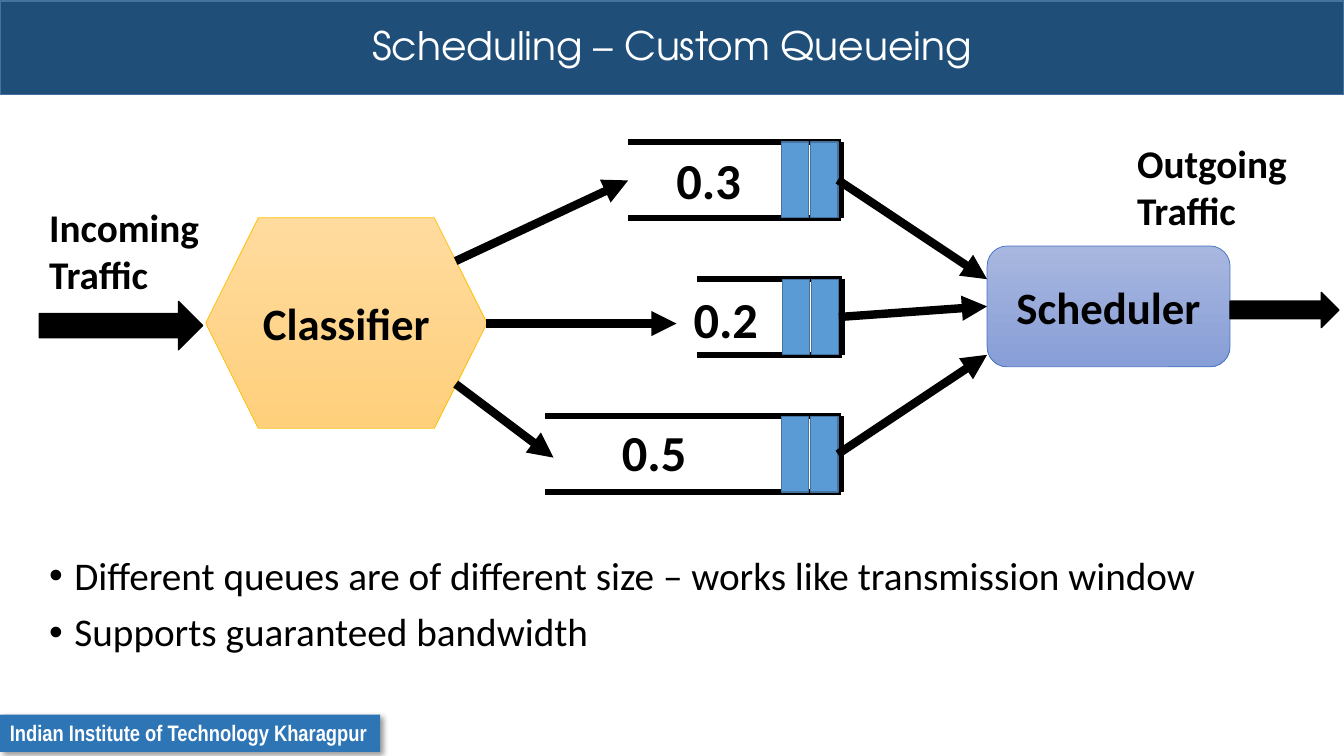
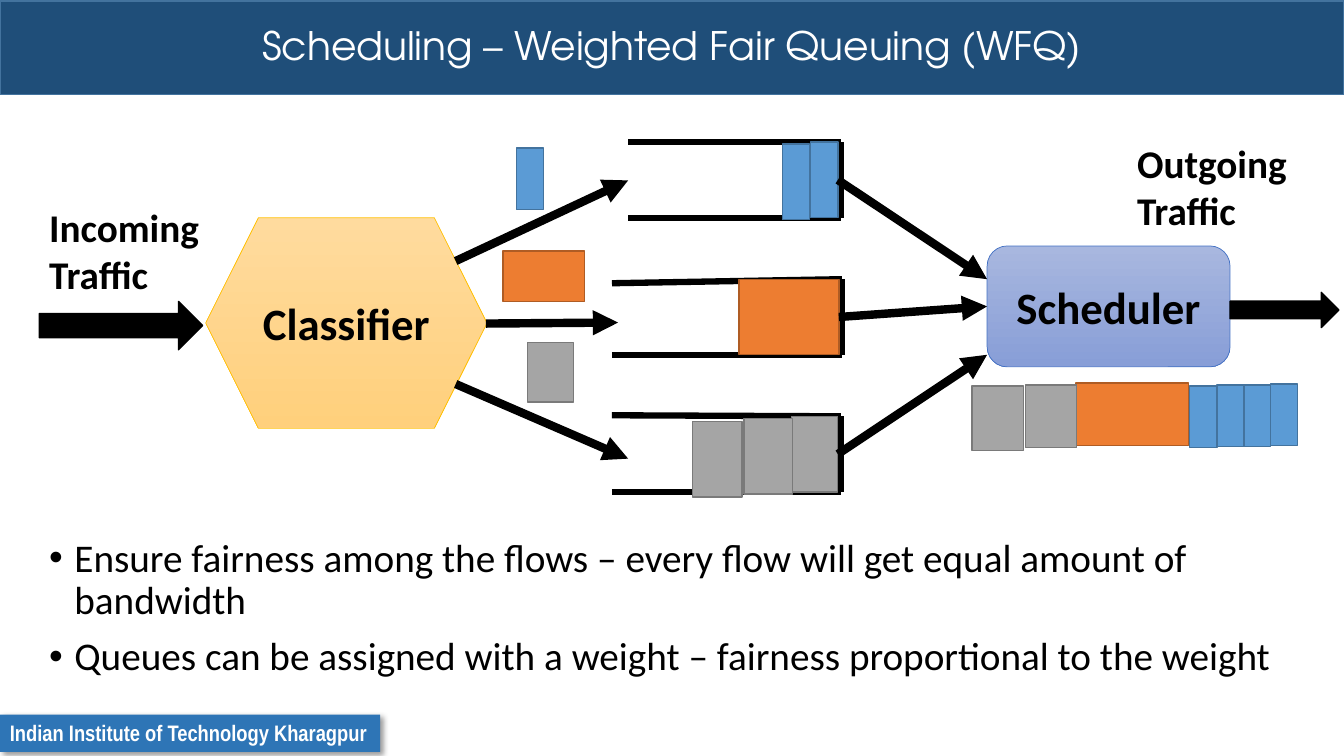
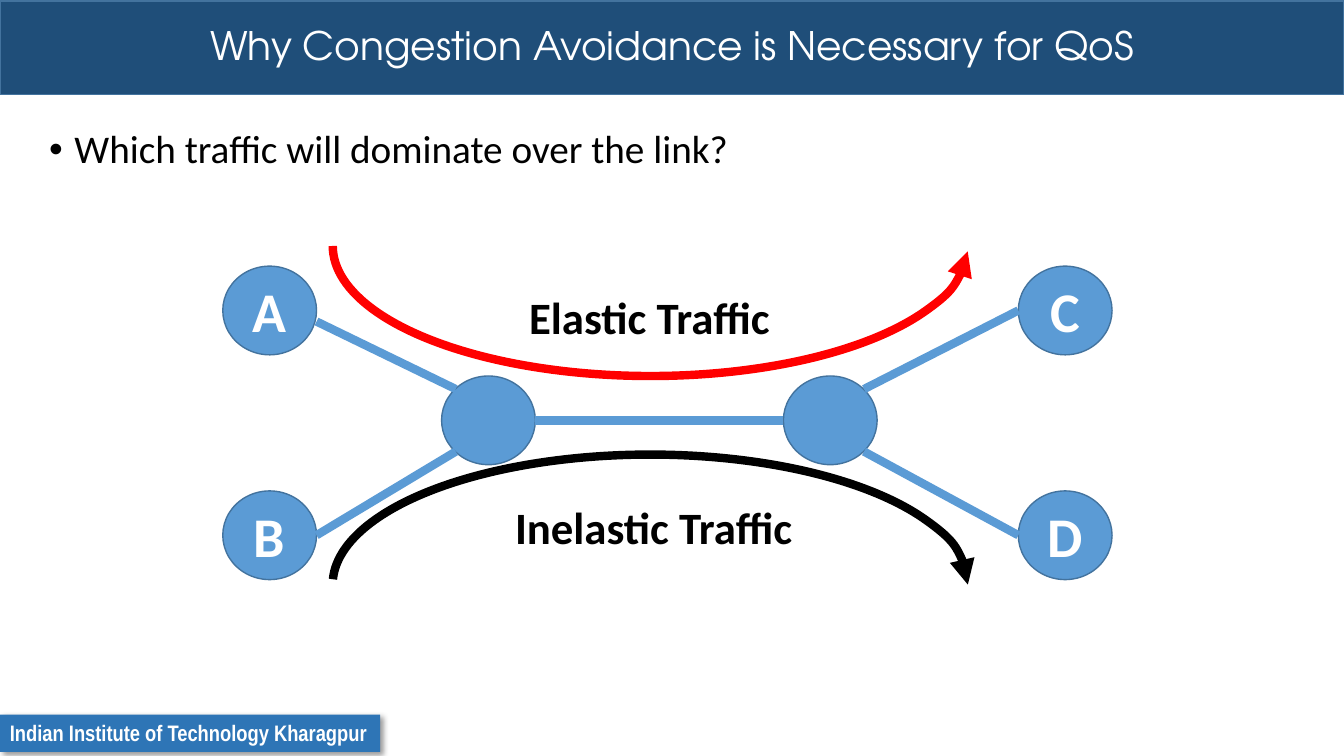
from lxml.etree import SubElement
from pptx import Presentation
from pptx.dml.color import RGBColor
from pptx.enum.shapes import MSO_CONNECTOR, MSO_SHAPE
from pptx.enum.text import MSO_ANCHOR, MSO_AUTO_SIZE, PP_ALIGN
from pptx.oxml.ns import qn
from pptx.util import Pt

PX = 9144  # 100 px to the inch
RECT, ROUND, HEX = MSO_SHAPE.RECTANGLE, MSO_SHAPE.ROUNDED_RECTANGLE, MSO_SHAPE.HEXAGON
OVAL, ARC, ARROW = MSO_SHAPE.OVAL, MSO_SHAPE.ARC, MSO_SHAPE.RIGHT_ARROW
STRAIGHT = MSO_CONNECTOR.STRAIGHT
LEFT, CENTER = PP_ALIGN.LEFT, PP_ALIGN.CENTER
TOP, MIDDLE = MSO_ANCHOR.TOP, MSO_ANCHOR.MIDDLE
GROW, FIXED = MSO_AUTO_SIZE.SHAPE_TO_FIT_TEXT, MSO_AUTO_SIZE.NONE

BLACK = RGBColor(0x00, 0x00, 0x00)
WHITE = RGBColor(0xFF, 0xFF, 0xFF)
RED = RGBColor(0xFF, 0x00, 0x00)
NAVY = RGBColor(0x1F, 0x4E, 0x79)
AZURE = RGBColor(0x2E, 0x75, 0xB6)
SKY = RGBColor(0x5B, 0x9B, 0xD5)
STEEL = RGBColor(0x43, 0x73, 0x9E)
ORANGE = RGBColor(0xED, 0x7D, 0x31)
RUST = RGBColor(0xAF, 0x5C, 0x24)
GREY = RGBColor(0xA5, 0xA5, 0xA5)
SLATE = RGBColor(0x7A, 0x7A, 0x7A)
GOLD = RGBColor(0xFF, 0xC0, 0x00)
ROYAL = RGBColor(0x44, 0x72, 0xC4)
SAND = [RGBColor(0xFF, 0xDB, 0x9E), RGBColor(0xFF, 0xD0, 0x7C)]
LILAC = [RGBColor(0xA8, 0xB7, 0xDF), RGBColor(0x88, 0x9E, 0xD7)]
EDGE = {SKY: STEEL, ORANGE: RUST, GREY: SLATE}


def box(slide, kind, place, *texts, fill=None, edge=None, width=1, size=28,
        color=BLACK, bold=True, font="Calibri", align=CENTER, anchor=MIDDLE,
        space=None, bullet=False, wrap=True, fit=FIXED):
    """Add a shape, or a text box if kind is None, with one paragraph per text."""
    place = [n * PX for n in place]
    if kind is None:
        shape = slide.shapes.add_textbox(*place)
    else:
        shape = slide.shapes.add_shape(kind, *place)
        shape.shadow.inherit = False
        if fill is None:
            shape.fill.background()
        elif isinstance(fill, list):
            shape.fill.gradient()
            shape.fill.gradient_angle = 270
            for stop, tone in zip(shape.fill.gradient_stops, fill):
                stop.color.rgb = tone
        else:
            shape.fill.solid()
            shape.fill.fore_color.rgb = fill
        if edge is None:
            shape.line.fill.background()
        else:
            shape.line.color.rgb = edge
            shape.line.width = Pt(width)
    if not texts:
        return shape
    frame = shape.text_frame
    frame.word_wrap, frame.auto_size, frame.vertical_anchor = wrap, fit, anchor
    for i, text in enumerate(texts):
        para = frame.add_paragraph() if i else frame.paragraphs[0]
        if bullet:
            props = para._p.get_or_add_pPr()
            props.set("marL", str(25 * PX))
            props.set("indent", str(-25 * PX))
            SubElement(props, qn("a:buFont"), typeface="Arial")
            SubElement(props, qn("a:buChar"), char="•")
        para.alignment = align
        if space:
            para.line_spacing = space
        if i:
            para.space_before = Pt(10)
        run = para.add_run()
        run.text = text
        run.font.name, run.font.size, run.font.bold = font, Pt(size), bold
        run.font.color.rgb = color
    return shape


def link(slide, start, end, color=BLACK, width=6, arrow=False):
    """Add a straight line, with an arrowhead at its end if asked."""
    line = slide.shapes.add_connector(STRAIGHT, *[n * PX for n in (*start, *end)])
    line.line.color.rgb = color
    line.line.width = Pt(width)
    SubElement(line._element.spPr, qn("a:effectLst"))
    if arrow:
        SubElement(line.line._get_or_add_ln(), qn("a:tailEnd"), type="triangle")
    return line


deck = Presentation()
deck.slide_width, deck.slide_height = 1333 * PX, 750 * PX
LABEL = dict(align=LEFT, anchor=TOP, fit=GROW)

# Title band, footer and bullets of every slide
pages = [
    ("Scheduling – Custom Queueing", 547,
     ["Different queues are of different size – works like transmission window",
      "Supports guaranteed bandwidth"]),
    ("Scheduling – Weighted Fair Queuing (WFQ)", 529,
     ["Ensure fairness among the flows – every flow will get equal amount of bandwidth",
      "Queues can be assigned with a weight – fairness proportional to the weight"]),
    ("Why Congestion Avoidance is Necessary for QoS", 124,
     ["Which traffic will dominate over the link?"]),
]
slides = []
for title, top, points in pages:
    slide = deck.slides.add_slide(deck.slide_layouts[6])
    slides.append(slide)
    box(slide, RECT, (0, 1, 1333, 93), title, fill=NAVY, edge=STEEL, color=WHITE,
        font="TeX Gyre Adventor", bold=False, space=0.9)
    foot = box(slide, RECT, (0, 709, 377, 37), "Indian Institute of Technology Kharagpur",
               fill=AZURE, size=16, color=WHITE, font="Arial Narrow", wrap=False, **LABEL)
    effects = foot._element.spPr.find(qn("a:effectLst"))
    shade = SubElement(effects, qn("a:outerShdw"), blurRad="50800", dist="38100",
                       dir="2700000", algn="tl", rotWithShape="0")
    tone = SubElement(shade, qn("a:srgbClr"), val="000000")
    SubElement(tone, qn("a:alpha"), val="40000")
    box(slide, None, (39, top, 1263, 709 - top), *points, bold=False, align=LEFT,
        anchor=TOP, space=0.9, bullet=True)

# Queues: upper rail start, right end of rails, top, arrow tip,
# packets (left, top, width) with the front one first
DEEP = 75
custom = [
    ((623, 141), 834, 141, (623, 179), SKY, [(804, 141, 27), (775, 141, 27)]),
    ((691, 277), 835, 277, (671, 321), SKY, [(805, 277, 27), (776, 277, 27)]),
    ((541, 413), 834, 413, (549, 454), SKY, [(804, 413, 27), (775, 413, 27)]),
]
fair = [
    ((623, 141), 834, 141, (623, 179), SKY, [(804, 141, 27), (776, 143, 27)]),
    ((607, 281), 835, 277, (613, 320), ORANGE, [(733, 277, 99)]),
    ((607, 412), 834, 413, (623, 455), GREY,
     [(785, 413, 46), (738, 415, 48), (687, 418, 49)]),
]
exits = [(452, 259), (482, 321), (452, 381)]
entries = [(979, 277), (979, 304), (979, 352)]

for slide, queues in zip(slides, (custom, fair)):
    box(slide, HEX, (204, 216, 279, 209), "Classifier", fill=SAND, edge=GOLD,
        width=0.5, size=32)
    server = box(slide, ROUND, (979, 244, 241, 120), "Scheduler", fill=LILAC,
                 edge=ROYAL, width=0.5, size=32)
    for queue, leave, enter in zip(queues, exits, entries):
        start, right, top, tip, color, packets = queue
        base = top + DEEP
        link(slide, start, (right, top), width=4.5)
        link(slide, (start[0], base), (right, base), width=4.5)
        link(slide, (right, top), (right, base), width=4.5)
        cells = [box(slide, RECT, (*cell, DEEP), fill=color, edge=EDGE[color])
                 for cell in packets]
        link(slide, leave, tip, arrow=True)
        out = link(slide, (right, top), enter, arrow=True)
        out.begin_connect(cells[0], 3)
        if enter == entries[1]:
            out.end_connect(server, 1)
    for place in ((39, 299, 162, 48), (1220, 290, 108, 35)):
        box(slide, ARROW, place, fill=BLACK, edge=BLACK)
    box(slide, None, (39, 197, 204, 104), "Incoming Traffic", **LABEL)
    box(slide, None, (1118, 133, 204, 104), "Outgoing Traffic", **LABEL)

# Slide 1: share of each queue
for share, left, top in (("0.3", 661, 143), ("0.2", 678, 281), ("0.5", 607, 413)):
    box(slides[0], None, (left, top, 85, 71), share, size=36, wrap=False, **LABEL)

# Slide 2: packets on their way in and out
moving = [
    (SKY, (512, 147, 27, 61)), (ORANGE, (499, 249, 81, 50)), (GREY, (523, 340, 46, 59)),
    (SKY, (1260, 381, 27, 61)), (SKY, (1233, 382, 27, 61)),
    (SKY, (1207, 382, 27, 61)), (SKY, (1180, 383, 27, 61)),
    (ORANGE, (1067, 380, 112, 62)),
    (GREY, (1017, 382, 51, 62)), (GREY, (964, 383, 51, 64)),
]
for color, place in moving:
    box(slides[1], RECT, place, fill=color, edge=EDGE[color])

# Slide 3: network with two flows
net = slides[2]
nodes = [("A", 221, 264), ("B", 221, 487), ("", 438, 373), ("", 777, 373),
         ("C", 1010, 264), ("D", 1010, 487)]
for name, left, top in nodes:
    box(net, OVAL, (left, top, 93, 88), *filter(None, [name]), fill=SKY, edge=STEEL,
        size=40, color=WHITE)
wires = [((314, 319), (452, 386)), ((452, 448), (314, 531)), ((531, 417), (777, 417)),
         ((857, 386), (1010, 308)), ((857, 448), (1010, 531))]
for start, end in wires:
    link(net, start, end, color=SKY)

flows = [
    ("Inelastic Traffic", (501, 491, 300, 64), 451, 0, BLACK, "a:tailEnd"),
    ("Elastic Traffic", (515, 283, 263, 64), 115, 180, RED, "a:headEnd"),
]
for name, place, top, turn, color, tip in flows:
    curve = box(net, ARC, (330, top, 630, 258), edge=color, width=6)
    curve.adjustments[0], curve.adjustments[1] = 108.58, 0
    curve.rotation = turn
    SubElement(curve.line._get_or_add_ln(), qn(tip), type="triangle")
    box(net, None, place, name, size=32, wrap=False, **LABEL)

deck.save("out.pptx")
